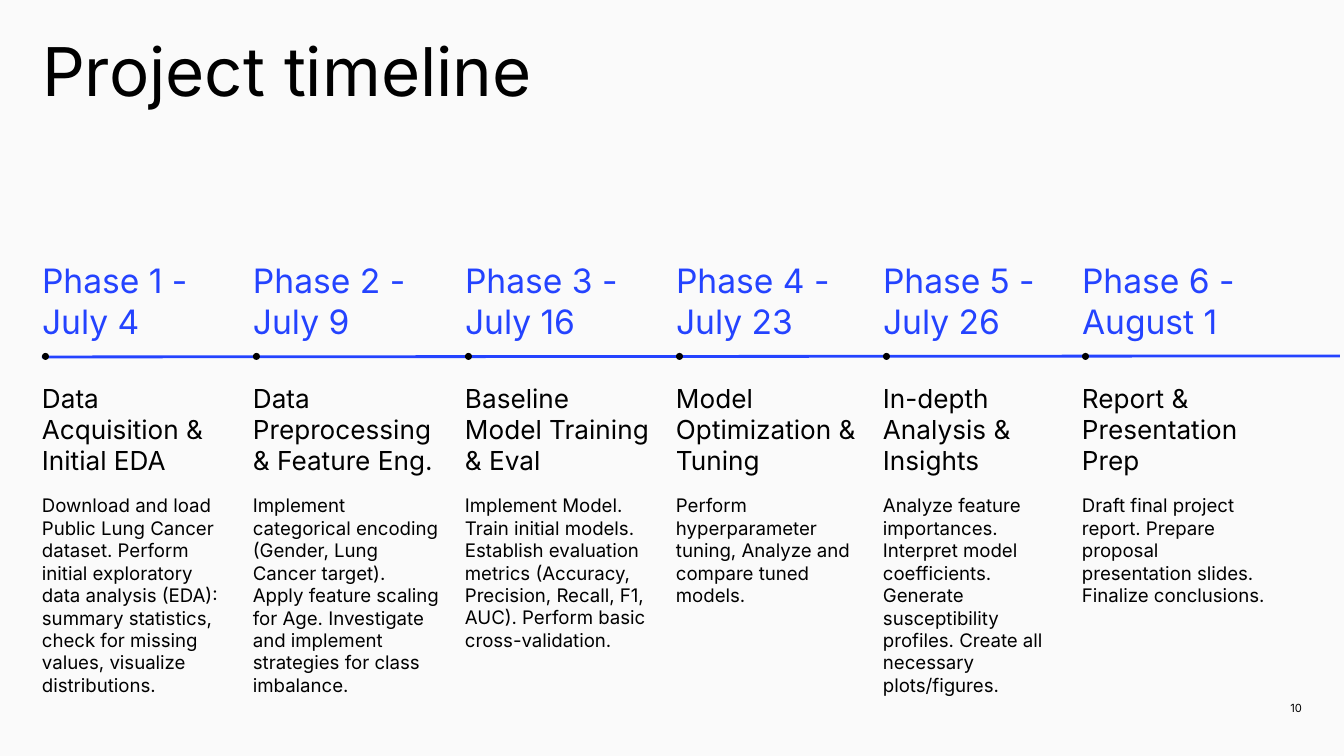
from pptx import Presentation
from pptx.dml.color import RGBColor
from pptx.enum.shapes import MSO_CONNECTOR, MSO_SHAPE
from pptx.enum.text import MSO_ANCHOR, MSO_AUTO_SIZE, PP_ALIGN
from pptx.oxml.ns import qn
from pptx.util import Emu, Pt

STRAIGHT = MSO_CONNECTOR.STRAIGHT
OVAL = MSO_SHAPE.OVAL
TOP, MIDDLE, BOTTOM = MSO_ANCHOR.TOP, MSO_ANCHOR.MIDDLE, MSO_ANCHOR.BOTTOM
FIXED, GROW = MSO_AUTO_SIZE.NONE, MSO_AUTO_SIZE.SHAPE_TO_FIT_TEXT
LEFT, RIGHT = PP_ALIGN.LEFT, PP_ALIGN.RIGHT

EMU_PER_PX = 914400 / 134.4
COLORS = {"paper": "FAFAFA", "ink": "000000", "accent": "2443FF"}
FONT = "Inter"
DOT = 7

PHASES = [
    (42, 362, "Phase 1 - July 4", "Data Acquisition & Initial EDA",
     "Download and load Public Lung Cancer dataset. Perform initial exploratory data "
     "analysis (EDA): summary statistics, check for missing values, visualize distributions."),
    (253, 362, "Phase 2 - July 9", "Data Preprocessing & Feature Eng.",
     "Implement categorical encoding (Gender, Lung Cancer target). Apply feature scaling "
     "for Age. Investigate and implement strategies for class imbalance."),
    (465, 340, "Phase 3 - July 16", "Baseline Model Training & Eval",
     "Implement Model. Train initial models. Establish evaluation metrics (Accuracy, "
     "Precision, Recall, F1, AUC). Perform basic cross-validation."),
    (676, 271, "Phase 4 - July 23", "Model Optimization & Tuning",
     "Perform hyperparameter tuning, Analyze and compare tuned models."),
    (883, 362, "Phase 5 - July 26", "In-depth Analysis & Insights",
     "Analyze feature importances. Interpret model coefficients. Generate susceptibility "
     "profiles. Create all necessary plots/figures."),
    (1082, 271, "Phase 6 - August 1", "Report & Presentation Prep",
     "Draft final project report. Prepare proposal presentation slides. Finalize conclusions."),
]


def px(length):
    """Turn pixels into EMU."""
    return Emu(round(length * EMU_PER_PX))


def color(key):
    """Look up a palette colour."""
    return RGBColor.from_string(COLORS[key])


def set_text(holder, lines, key="ink", anchor=TOP, align=LEFT, fit=FIXED, inset=0):
    """Fill a text holder with (text, size) lines and format them."""
    frame = holder.text_frame
    frame.text = "\n".join(text for text, _ in lines)
    frame.word_wrap = True
    frame.auto_size = fit
    frame.vertical_anchor = anchor
    frame.margin_left = frame.margin_top = frame.margin_bottom = 0
    frame.margin_right = px(inset)
    for paragraph, (_, size) in zip(frame.paragraphs, lines):
        paragraph.alignment = align
        for run in paragraph.runs:
            run.font.name = FONT
            run.font.size = Pt(size)
            run.font.color.rgb = color(key)
    return frame


def add_text(slide, box, lines, **style):
    """Add a formatted text box."""
    return set_text(slide.shapes.add_textbox(*map(px, box)), lines, **style)


def add_title(slide, box):
    """Place the slide title."""
    title = slide.shapes.title
    title.left, title.top, title.width, title.height = map(px, box)
    frame = set_text(title, [("Project timeline", 36)])
    frame.paragraphs[0].line_spacing = 0.85


def add_axis(slide, left, top, right):
    """Draw the timeline's line."""
    axis = slide.shapes.add_connector(STRAIGHT, px(left), px(top + 1), px(right), px(top))
    axis.line.color.rgb = color("accent")
    axis.line.width = Pt(1.5)
    properties = axis._element.spPr
    properties.append(properties.makeelement(qn("a:effectLst"), {}))


def add_phase(slide, left, top, height, date, heading, details):
    """Place one phase: date, marker on the line, heading and details."""
    add_text(slide, (left, top, 159, 87), [(date, 18)], key="accent", anchor=BOTTOM)
    marker = slide.shapes.add_shape(OVAL, px(left), px(top + 99), px(DOT), px(DOT))
    marker.shadow.inherit = False
    marker.fill.solid()
    marker.fill.fore_color.rgb = color("ink")
    marker.line.fill.background()
    frame = add_text(slide, (left, top + 128, 200, height),
                     [(heading, 14), (details, 10)], fit=GROW, inset=13)
    frame.paragraphs[1].space_before = Pt(9.7)


def add_timeline(slide, left, top, right):
    """Draw the line and its phases."""
    add_axis(slide, left, top + 102, right)
    for phase_left, height, *content in PHASES:
        add_phase(slide, phase_left, top, height, *content)


def main():
    """Build and save the slide."""
    deck = Presentation()
    deck.slide_width, deck.slide_height = px(1344), px(756)
    slide = deck.slides.add_slide(deck.slide_layouts[5])
    slide.background.fill.solid()
    slide.background.fill.fore_color.rgb = color("paper")
    add_title(slide, (42, 42, 945, 70))
    add_timeline(slide, 42, 254, 1340)
    add_text(slide, (1222, 703, 80, 11), [("10", 6)], anchor=MIDDLE, align=RIGHT)
    deck.save("out.pptx")


if __name__ == "__main__":
    main()
